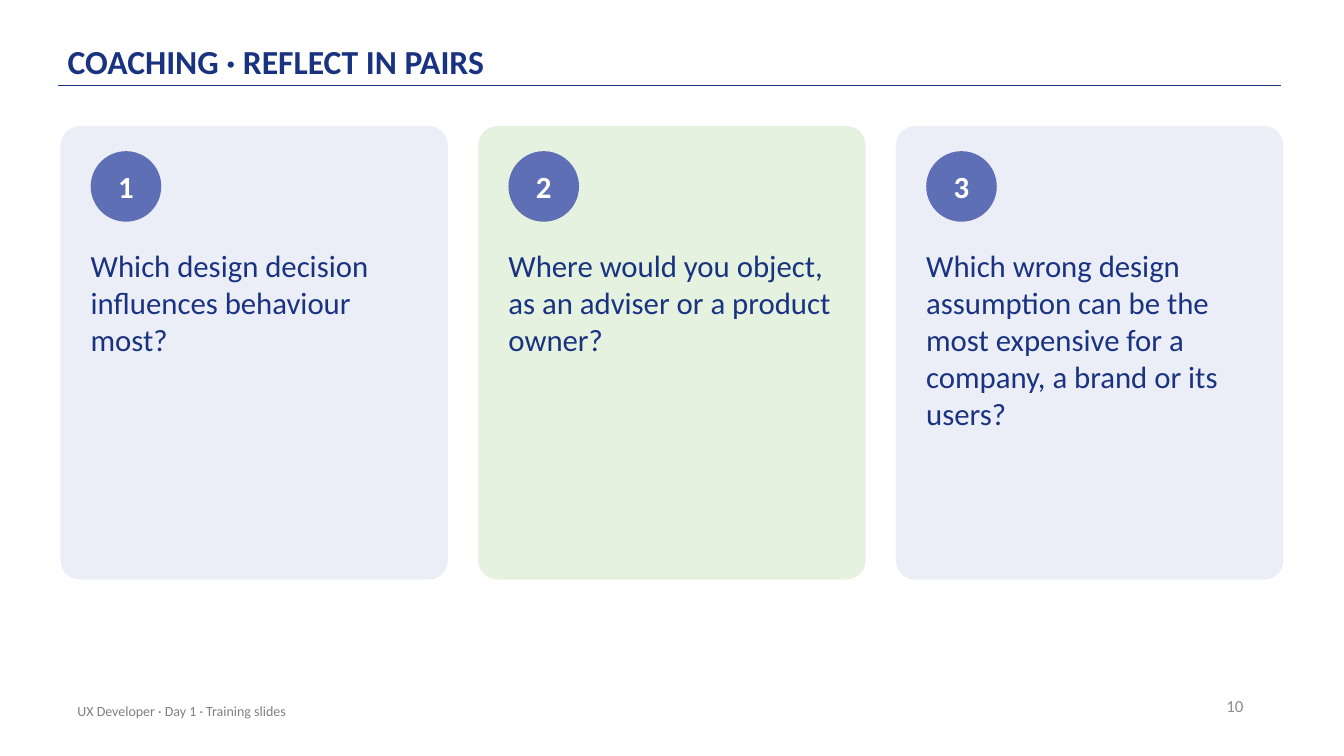
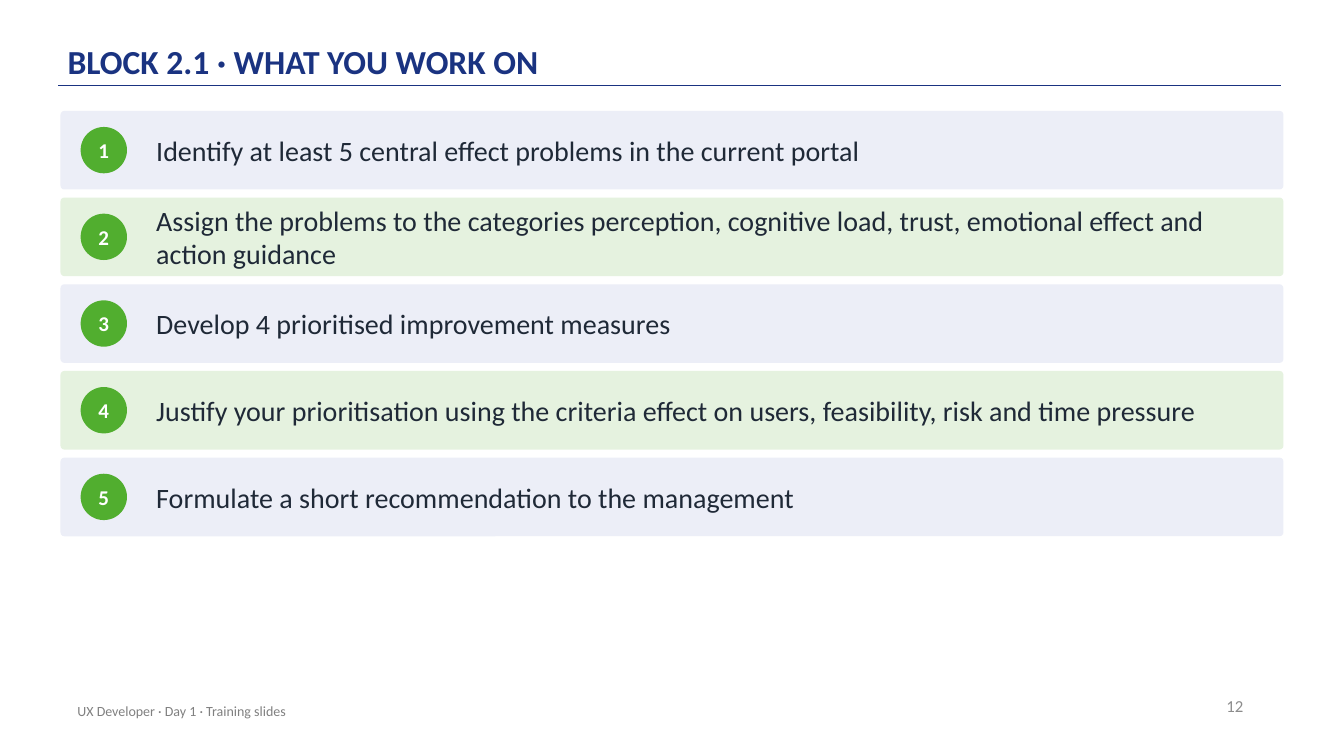
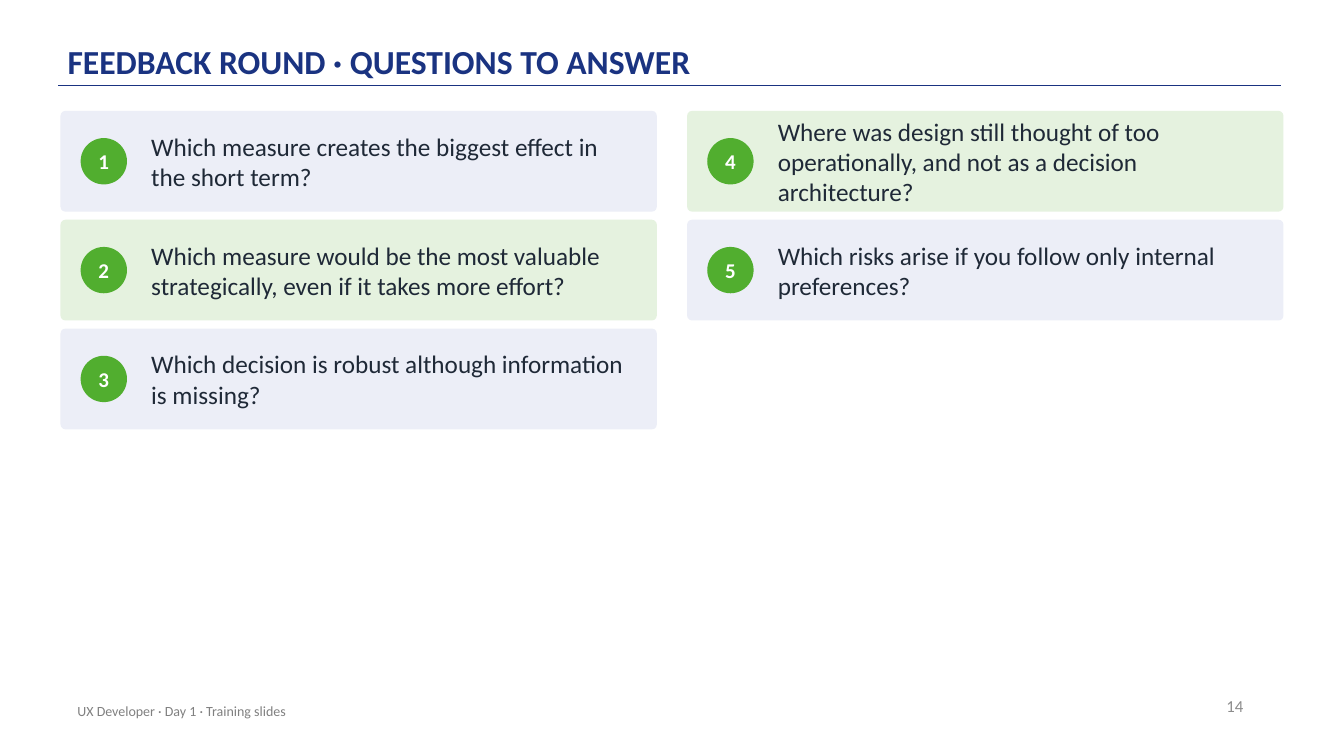
"""Build three training slides: reflection cards, a task list and feedback questions."""
from lxml.etree import SubElement
from pptx import Presentation
from pptx.dml.color import RGBColor
from pptx.enum.shapes import MSO_CONNECTOR, MSO_SHAPE
from pptx.enum.text import MSO_ANCHOR, PP_ALIGN
from pptx.oxml.ns import qn
from pptx.util import Inches, Pt

FONT = "Calibri"
NAVY = "1A3381"
INDIGO = "5F6FB5"
GREEN = "51AE2F"
INK = "1F2937"
WHITE = "FFFFFF"
NUMBER_GREY = "8C8C8C"
FOOTER_GREY = "808080"
PANEL_FILLS = ["ECEEF7", "E5F2DF"]
LEFT = 0.6
CONTENT_WIDTH = 12.13
COLUMN_GAP = 0.3
FOOTER = "UX Developer · Day 1 · Training slides"


def add_filled(slide, kind, left, top, width, height, fill):
    shape = slide.shapes.add_shape(kind, Inches(left), Inches(top), Inches(width), Inches(height))
    shape.shadow.inherit = False
    shape.fill.solid()
    shape.fill.fore_color.rgb = RGBColor.from_string(fill)
    shape.line.fill.background()
    if kind == MSO_SHAPE.ROUNDED_RECTANGLE:
        shape.adjustments[0] = 0.05
    return shape


def write(shape, text, size, color, bold=False, align=PP_ALIGN.LEFT,
          anchor=MSO_ANCHOR.MIDDLE, inset=(0, 0)):
    frame = shape.text_frame
    frame.text = text
    frame.word_wrap = True
    frame.vertical_anchor = anchor
    frame.margin_left = frame.margin_right = Inches(inset[0])
    frame.margin_top = frame.margin_bottom = Inches(inset[1])
    paragraph = frame.paragraphs[0]
    paragraph.alignment = align
    font = paragraph.runs[0].font
    font.name = FONT
    font.size = Pt(size)
    font.bold = bold
    font.color.rgb = RGBColor.from_string(color)
    return paragraph


presentation = Presentation()
presentation.slide_width = Inches(13.33)
presentation.slide_height = Inches(7.5)

slides = []
for title, number in [
    ("COACHING · REFLECT IN PAIRS", 10),
    ("BLOCK 2.1 · WHAT YOU WORK ON", 12),
    ("FEEDBACK ROUND · QUESTIONS TO ANSWER", 14),
]:
    slide = presentation.slides.add_slide(presentation.slide_layouts[6])
    slides.append(slide)
    rule = slide.shapes.add_connector(
        MSO_CONNECTOR.STRAIGHT, Inches(0.58), Inches(0.85), Inches(12.71), Inches(0.85))
    rule.line.color.rgb = RGBColor.from_string(NAVY)
    rule.line.width = Pt(1)
    SubElement(rule._element.spPr, qn("a:effectLst"))
    title_box = slide.shapes.add_textbox(Inches(0.67), Inches(0.12), Inches(11), Inches(0.72))
    paragraph = write(title_box, title, 24, NAVY, bold=True,
                      anchor=MSO_ANCHOR.BOTTOM, inset=(0, 0.03))
    paragraph.line_spacing = 0.9
    number_box = slide.shapes.add_textbox(Inches(9.43), Inches(6.8), Inches(3), Inches(0.4))
    write(number_box, str(number), 12, NUMBER_GREY, align=PP_ALIGN.RIGHT, inset=(0.1, 0.05))
    footer_box = slide.shapes.add_textbox(Inches(0.67), Inches(6.85), Inches(6.7), Inches(0.4))
    write(footer_box, FOOTER, 10, FOOTER_GREY, inset=(0.1, 0.05))

coaching_slide, task_slide, feedback_slide = slides

reflections = [
    "Which design decision influences behaviour most?",
    "Where would you object, as an adviser or a product owner?",
    "Which wrong design assumption can be the most expensive for a company, a brand or its users?",
]
card_width = (CONTENT_WIDTH - 2 * COLUMN_GAP) / 3
for index, question in enumerate(reflections):
    left = LEFT + index * (card_width + COLUMN_GAP)
    add_filled(coaching_slide, MSO_SHAPE.ROUNDED_RECTANGLE, left, 1.25, card_width, 4.5,
               PANEL_FILLS[index % 2])
    badge = add_filled(coaching_slide, MSO_SHAPE.OVAL, left + 0.3, 1.5, 0.7, 0.7, INDIGO)
    write(badge, str(index + 1), 22, WHITE, bold=True, align=PP_ALIGN.CENTER)
    question_box = coaching_slide.shapes.add_textbox(
        Inches(left + 0.3), Inches(2.45), Inches(card_width - 0.6), Inches(3.1))
    paragraph = write(question_box, question, 22, NAVY, anchor=MSO_ANCHOR.TOP)
    paragraph.space_after = Pt(6)

tasks = [
    "Identify at least 5 central effect problems in the current portal",
    "Assign the problems to the categories perception, cognitive load, trust, "
    "emotional effect and action guidance",
    "Develop 4 prioritised improvement measures",
    "Justify your prioritisation using the criteria effect on users, feasibility, "
    "risk and time pressure",
    "Formulate a short recommendation to the management",
]
feedback_questions = [
    "Which measure creates the biggest effect in the short term?",
    "Which measure would be the most valuable strategically, even if it takes more effort?",
    "Which decision is robust although information is missing?",
    "Where was design still thought of too operationally, and not as a decision architecture?",
    "Which risks arise if you follow only internal preferences?",
]
ROW_GAP = 0.08
BADGE_SIZE = 0.46
for slide, items, columns, rows, row_height, indent, right_margin, size in [
    (task_slide, tasks, 1, 5, 0.78, 0.95, 0.25, 20),
    (feedback_slide, feedback_questions, 2, 3, 1, 0.9, 0.2, 18),
]:
    row_width = (CONTENT_WIDTH - (columns - 1) * COLUMN_GAP) / columns
    for index, item in enumerate(items):
        column, row = divmod(index, rows)
        left = LEFT + column * (row_width + COLUMN_GAP)
        top = 1.1 + row * (row_height + ROW_GAP)
        add_filled(slide, MSO_SHAPE.ROUNDED_RECTANGLE, left, top, row_width, row_height,
                   PANEL_FILLS[index % 2])
        badge = add_filled(slide, MSO_SHAPE.OVAL, left + 0.2, top + (row_height - BADGE_SIZE) / 2,
                           BADGE_SIZE, BADGE_SIZE, GREEN)
        write(badge, str(index + 1), 15, WHITE, bold=True, align=PP_ALIGN.CENTER)
        item_box = slide.shapes.add_textbox(
            Inches(left + indent), Inches(top),
            Inches(row_width - indent - right_margin), Inches(row_height))
        write(item_box, item, size, INK)

presentation.save("out.pptx")
